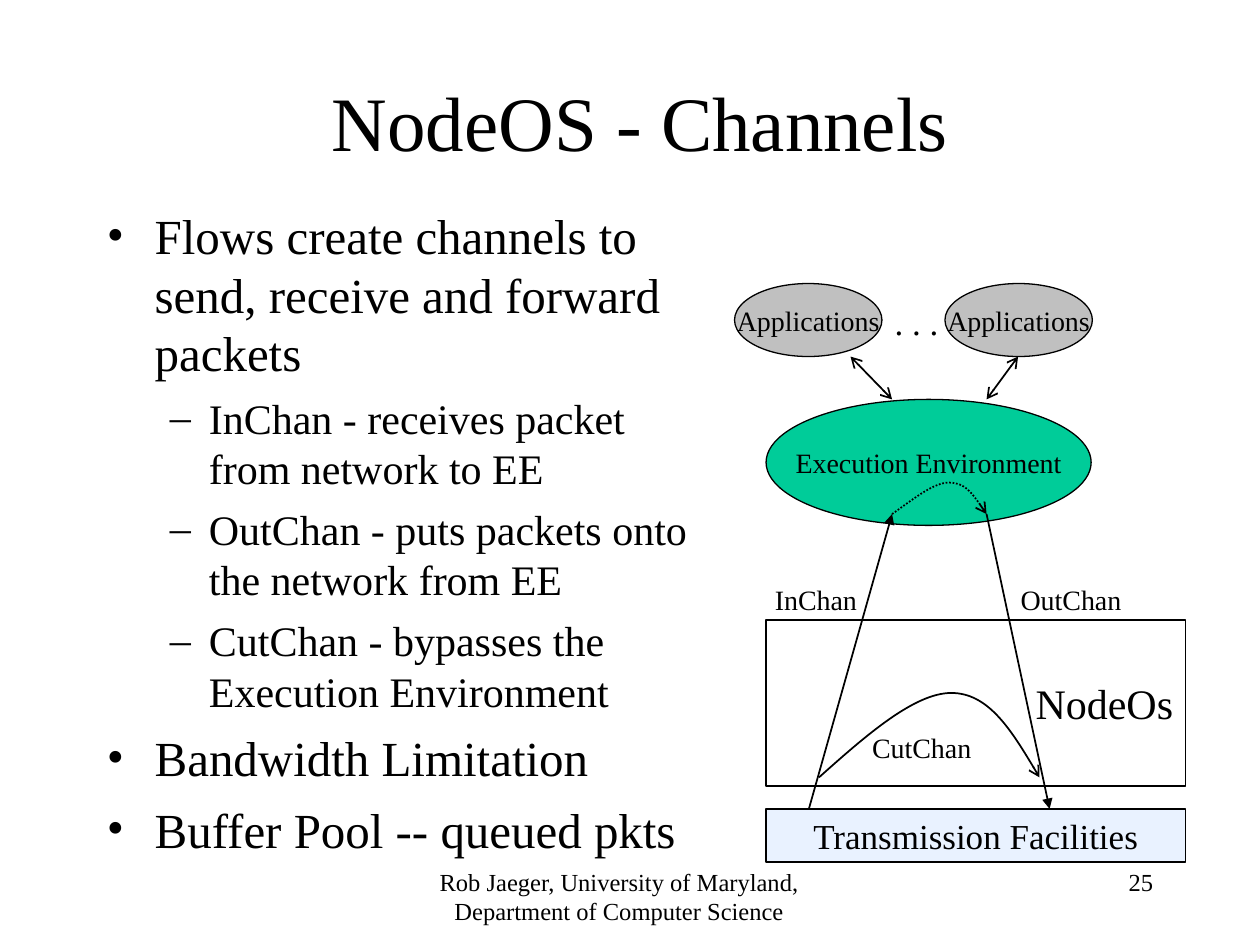
"""Build the NodeOS channels slide."""
from lxml import etree
from pptx import Presentation
from pptx.dml.color import RGBColor
from pptx.enum.dml import MSO_LINE
from pptx.enum.shapes import MSO_CONNECTOR, MSO_SHAPE
from pptx.enum.text import MSO_ANCHOR, PP_ALIGN
from pptx.oxml.ns import qn
from pptx.util import Inches, Pt

BLACK = RGBColor(0x00, 0x00, 0x00)
GREEN = RGBColor(0x00, 0xCC, 0x99)
GRAY = RGBColor(0xC0, 0xC0, 0xC0)
PALE_BLUE = RGBColor(0xE9, 0xF2, 0xFF)
FONT = "Times New Roman"
LEFT, CENTER, RIGHT = PP_ALIGN.LEFT, PP_ALIGN.CENTER, PP_ALIGN.RIGHT
TOP, MIDDLE = MSO_ANCHOR.TOP, MSO_ANCHOR.MIDDLE
RECTANGLE, OVAL = MSO_SHAPE.RECTANGLE, MSO_SHAPE.OVAL
STRAIGHT = MSO_CONNECTOR.STRAIGHT
DOTTED = MSO_LINE.ROUND_DOT

BULLETS = [
    (0, "Flows create channels to send, receive and forward packets"),
    (1, "InChan - receives packet from network to EE"),
    (1, "OutChan - puts packets onto the network from EE"),
    (1, "CutChan - bypasses the Execution Environment"),
    (0, "Bandwidth Limitation"),
    (0, "Buffer Pool -- queued pkts"),
]
LEVELS = [
    {"size": 28, "before": 7, "margin": 0.38, "hang": 0.38, "mark": "•"},
    {"size": 24, "before": 6, "margin": 0.81, "hang": 0.31, "mark": "–"},
]
TEXTS = [
    ("Rob Jaeger, University of Maryland, Department of Computer Science",
     (3, 6.83, 3.83, 0.5), {"size": 14, "anchor": TOP}),
    ("25", (7.17, 6.83, 2.08, 0.5), {"size": 14, "align": RIGHT, "anchor": TOP}),
    ("NodeOS - Channels", (0.83, 0.33, 8.5, 1.25), {"size": 44}),
]
NODES = [
    ("NodeOs", RECTANGLE, (6.08, 4.92, 3.33, 1.32), None, 1, {"size": 24, "align": RIGHT}),
    ("Execution Environment", OVAL, (6.08, 3.17, 2.58, 1), GREEN, 0.75, {"size": 16}),
    ("Transmission Facilities", RECTANGLE, (6.08, 6.42, 3.33, 0.42), PALE_BLUE, 1, {"size": 20}),
    ("Applications", OVAL, (5.83, 2.25, 1.17, 0.58), GRAY, 0.75, {"size": 16}),
    ("Applications", OVAL, (7.5, 2.25, 1.17, 0.58), GRAY, 0.75, {"size": 16}),
]
LABELS = [
    ("CutChan", (6.82, 5.75, 0.99, 0.36), {"size": 16, "wrap": False}),
    ("OutChan", (8, 4.58, 1, 0.36), {"size": 16, "wrap": False}),
    ("InChan", (6.05, 4.58, 0.85, 0.36), {"size": 16, "wrap": False}),
    (". . .", (7, 2.17, 0.55, 0.76), {"size": 20}),
]
ARROWS = [
    ((6.42, 6.42), (7.08, 4.08), None, "triangle"),
    ((7.83, 4.08), (8.33, 6.42), None, "triangle"),
    ((6.75, 2.83), (7.08, 3.17), "arrow", "arrow"),
    ((8.08, 2.83), (7.83, 3.17), "arrow", "arrow"),
]
CURVES = [
    ([(7.08, 4.08), (7.25, 3.96), (7.41, 3.83), (7.53, 3.83),
      (7.66, 3.83), (7.75, 3.96), (7.83, 4.08)], DOTTED),
    ([(6.5, 6.17), (6.88, 5.83), (7.26, 5.5), (7.55, 5.5),
      (7.84, 5.5), (8.05, 5.83), (8.25, 6.17)], None),
]


def write(paragraph, text, size, align):
    span = paragraph.add_run()
    span.text = text
    span.font.name = FONT
    span.font.size = Pt(size)
    span.font.color.rgb = BLACK
    paragraph.alignment = align


def fill_frame(shape, text, size, align=CENTER, anchor=MIDDLE, wrap=True):
    frame = shape.text_frame
    frame.word_wrap = wrap
    frame.vertical_anchor = anchor
    write(frame.paragraphs[0], text, size, align)


def add_text(page, text, place, **style):
    box = page.shapes.add_textbox(*map(Inches, place))
    fill_frame(box, text, **style)


def add_bullets(page, place):
    frame = page.shapes.add_textbox(*map(Inches, place)).text_frame
    frame.word_wrap = True
    for index, (level, text) in enumerate(BULLETS):
        style = LEVELS[level]
        paragraph = frame.add_paragraph() if index else frame.paragraphs[0]
        paragraph.level = level
        if index:
            paragraph.space_before = Pt(style["before"])
        properties = paragraph._p.get_or_add_pPr()
        properties.set("marL", str(Inches(style["margin"])))
        properties.set("indent", str(-Inches(style["hang"])))
        etree.SubElement(properties, qn("a:buFont")).set("typeface", FONT)
        etree.SubElement(properties, qn("a:buChar")).set("char", style["mark"])
        write(paragraph, text, style["size"], LEFT)


def add_node(page, text, kind, place, fill, width, style):
    node = page.shapes.add_shape(kind, *map(Inches, place))
    node.shadow.inherit = False
    if fill is None:
        node.fill.background()
    else:
        node.fill.solid()
        node.fill.fore_color.rgb = fill
    node.line.color.rgb = BLACK
    node.line.width = Pt(width)
    fill_frame(node, text, wrap=False, **style)


def style_line(shape, head, tail, dash=None):
    shape.line.color.rgb = BLACK
    shape.line.width = Pt(1)
    if dash is not None:
        shape.line.dash_style = dash
    outline = shape.line._get_or_add_ln()
    for tag, kind in (("a:headEnd", head), ("a:tailEnd", tail)):
        if kind:
            etree.SubElement(outline, qn(tag)).set("type", kind)


def add_arrow(page, start, end, head, tail):
    arrow = page.shapes.add_connector(STRAIGHT, *map(Inches, start + end))
    style_line(arrow, head, tail)
    etree.SubElement(arrow._element.spPr, qn("a:effectLst"))


def add_curve(page, controls, dash):
    start, *points = [tuple(map(Inches, point)) for point in controls]
    builder = page.shapes.build_freeform(*start)
    builder.add_line_segments(points, close=False)
    curve = builder.convert_to_shape()
    outline = next(curve._element.iter(qn("a:path")))
    segments = outline.findall(qn("a:lnTo"))
    for first in range(0, len(segments), 3):
        bend = etree.SubElement(outline, qn("a:cubicBezTo"))
        for segment in segments[first:first + 3]:
            bend.append(segment[0])
            outline.remove(segment)
    curve.shadow.inherit = False
    curve.fill.background()
    style_line(curve, None, "arrow", dash)


def main():
    deck = Presentation()
    deck.slide_width, deck.slide_height = Inches(10), Inches(7.5)
    page = deck.slides.add_slide(deck.slide_layouts[6])
    for text, place, style in TEXTS:
        add_text(page, text, place, **style)
    add_bullets(page, (0.75, 1.58, 4.83, 5.33))
    for node in NODES:
        add_node(page, *node)
    for arrow in ARROWS:
        add_arrow(page, *arrow)
    for curve in CURVES:
        add_curve(page, *curve)
    for text, place, style in LABELS:
        add_text(page, text, place, **style)
    deck.save("out.pptx")


if __name__ == "__main__":
    main()
